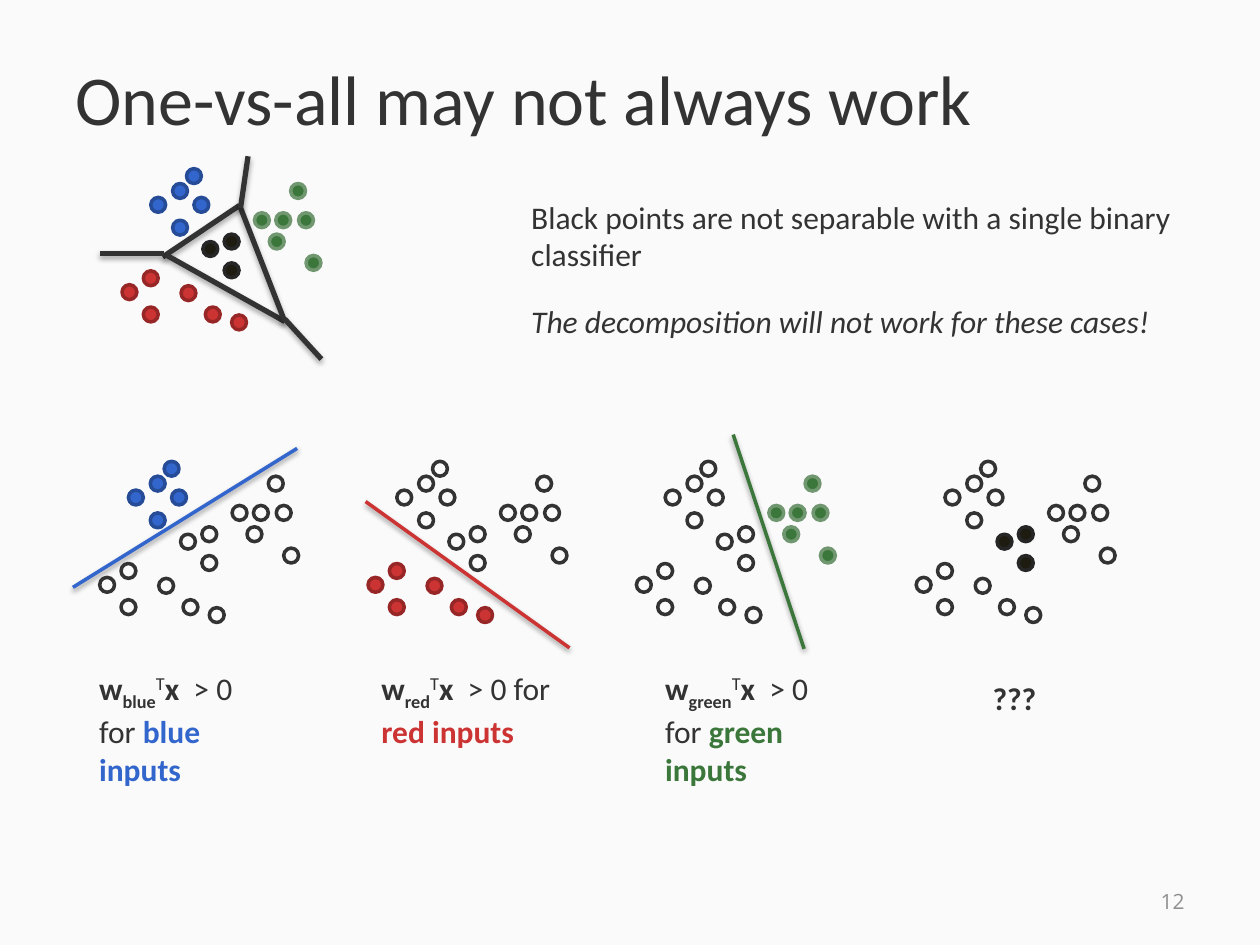
from typing import NamedTuple, Optional

from lxml import etree
from pptx import Presentation
from pptx import util as u
from pptx.dml.color import RGBColor
from pptx.enum import shapes as kinds, text as txt
from pptx.oxml import ns

INK = RGBColor(0x33, 0x33, 0x33)
PAPER = RGBColor(0xFA, 0xFA, 0xFA)
GRAY = RGBColor(0x90, 0x90, 0x90)
BLUE = RGBColor(0x33, 0x66, 0xCC)
NAVY = RGBColor(0x26, 0x4B, 0x97)
RED = RGBColor(0xCC, 0x33, 0x33)
WINE = RGBColor(0x97, 0x26, 0x26)
GREEN = RGBColor(0x3B, 0x77, 0x3B)
SAGE = RGBColor(0x71, 0x97, 0x71)
BLACK = RGBColor(0x1E, 0x1C, 0x11)
COAL = RGBColor(0x26, 0x26, 0x26)

DOT = 0.3
FONT = "Calibri"


class Look(NamedTuple):
    fill: RGBColor
    edge: RGBColor


class Line(NamedTuple):
    x1: float
    y1: float
    x2: float
    y2: float
    color: RGBColor = INK
    width: float = 3
    alpha: int = 35
    drop: int = 23000


class Panel(NamedTuple):
    x: float
    name: str
    note: float
    line: Optional[Line] = None


class Piece(NamedTuple):
    text: str
    bold: bool = False
    base: int = 0
    color: RGBColor = INK


PLAIN = Look(PAPER, INK)
LOOKS = {
    "blue": Look(BLUE, NAVY),
    "black": Look(BLACK, COAL),
    "green": Look(GREEN, SAGE),
    "red": Look(RED, WINE),
}
DOTS = {
    "blue": [(1.02, 0.3), (1.3, 0), (0.58, 0.58), (1.45, 0.58), (1.02, 1.04)],
    "black": [(1.63, 1.47), (2.06, 1.32), (2.06, 1.9)],
    "green": [(2.97, 1.32), (3.71, 1.75), (3.4, 0.3), (2.67, 0.89),
              (3.56, 0.89), (3.1, 0.89)],
    "red": [(2.21, 2.95), (0.43, 2.06), (1.19, 2.36), (0, 2.34),
            (1.68, 2.79), (0.43, 2.79)],
}
BORDERS = [
    Line(3.28, 5.18, 4.83, 4.14),
    Line(3.33, 5.13, 5.74, 6.48),
    Line(4.83, 4.14, 5.74, 6.48),
    Line(5.74, 6.43, 6.48, 7.24),
    Line(4.85, 4.19, 5, 3.15),
    Line(2.01, 5.11, 3.3, 5.11),
]
PANELS = [
    Panel(2.01, "blue", 1.75, Line(1.47, 11.84, 5.99, 9.04, BLUE, 2, 38, 20000)),
    Panel(7.42, "red", 7.44, Line(7.37, 10.11, 11.48, 13.06, RED, 2, 38, 20000)),
    Panel(12.83, "green", 13.16, Line(14.78, 8.76, 16.21, 13.08, GREEN, 2, 38, 20000)),
    Panel(18.47, "black", 19.76),
]


def draw_line(parent, line: Line) -> None:
    link = parent.add_connector(
        kinds.MSO_CONNECTOR.STRAIGHT,
        *(u.Cm(v) for v in (line.x1, line.y1, line.x2, line.y2)))
    link.line.color.rgb = line.color
    link.line.width = u.Pt(line.width)
    fx = etree.SubElement(link._element.spPr, ns.qn("a:effectLst"))
    shade = etree.SubElement(fx, ns.qn("a:outerShdw"), blurRad="40000",
                             dist=str(line.drop), dir="5400000", rotWithShape="0")
    tint = etree.SubElement(shade, ns.qn("a:srgbClr"), val="000000")
    etree.SubElement(tint, ns.qn("a:alpha"), val=str(line.alpha * 1000))


def draw_dots(parent, x: float, y: float, shown: list[str]) -> None:
    for name, spots in DOTS.items():
        look = LOOKS[name] if name in shown else PLAIN
        for dx, dy in spots:
            dot = parent.add_shape(kinds.MSO_SHAPE.OVAL, u.Cm(x + dx), u.Cm(y + dy),
                                   u.Cm(DOT), u.Cm(DOT))
            dot.shadow.inherit = False
            dot.fill.solid()
            dot.fill.fore_color.rgb = look.fill
            dot.line.color.rgb = look.edge
            dot.line.width = u.Pt(2)


def style(font, size: float, color: RGBColor = INK, face: str = FONT) -> None:
    font.name = face
    font.size = u.Pt(size)
    font.color.rgb = color


def add_box(parent, x: float, y: float, w: float, h: float, wrap: bool = True):
    frame = parent.add_textbox(u.Cm(x), u.Cm(y), u.Cm(w), u.Cm(h)).text_frame
    frame.word_wrap = wrap
    frame.auto_size = txt.MSO_AUTO_SIZE.SHAPE_TO_FIT_TEXT
    return frame


def write(frame, pieces: list[Piece]) -> None:
    for piece in pieces:
        run = frame.paragraphs[0].add_run()
        run.text = piece.text
        style(run.font, 18, piece.color)
        run.font.bold = piece.bold
        if piece.base:
            run.font._element.set("baseline", str(piece.base * 1000))


def draw_panel(slide, panel: Panel) -> None:
    group = slide.shapes.add_group_shape().shapes
    if panel.line:
        draw_line(group, panel.line)
        frame = add_box(group, panel.note, 13.36, 3.96, 2.57)
        write(frame, [
            Piece("w", True), Piece(panel.name, True, -25), Piece("T", False, 30),
            Piece("x ", True), Piece(" > 0 for "),
            Piece(f"{panel.name} inputs", True, 0, LOOKS[panel.name].fill)])
    else:
        write(add_box(group, panel.note, 13.56, 1.4, 1.02), [Piece("???", True)])
    draw_dots(group, panel.x, 9.3, [panel.name])


def main() -> None:
    deck = Presentation()
    deck.slide_width, deck.slide_height = u.Cm(25.4), u.Cm(19.05)
    slide = deck.slides.add_slide(deck.slide_layouts[5])
    slide.background.fill.solid()
    slide.background.fill.fore_color.rgb = PAPER

    title = slide.shapes.title
    title.left, title.top = u.Cm(1.27), u.Cm(0.38)
    title.width, title.height = u.Cm(22.86), u.Cm(3.18)
    title.text_frame.text = "One-vs-all may not always work"
    title.text_frame.vertical_anchor = txt.MSO_ANCHOR.MIDDLE
    head = title.text_frame.paragraphs[0]
    head.alignment = txt.PP_ALIGN.LEFT
    style(head.runs[0].font, 40)

    claim = add_box(slide.shapes, 10.46, 3.86, 14.02, 1.8)
    write(claim, [Piece("Black points are not separable with a single binary classifier")])
    moral = add_box(slide.shapes, 10.46, 5.97, 13.28, 1.02, False)
    write(moral, [Piece("The decomposition will not work for these cases!")])
    moral.paragraphs[0].runs[0].font.italic = True

    web = slide.shapes.add_group_shape().shapes
    for line in BORDERS:
        draw_line(web, line)
    draw_dots(slide.shapes.add_group_shape().shapes, 2.46, 3.4, list(LOOKS))
    for panel in PANELS:
        draw_panel(slide, panel)

    page = add_box(slide.shapes, 18.21, 17.65, 5.92, 1.02)
    page.auto_size = txt.MSO_AUTO_SIZE.NONE
    page.vertical_anchor = txt.MSO_ANCHOR.MIDDLE
    page.text = "12"
    page.paragraphs[0].alignment = txt.PP_ALIGN.RIGHT
    style(page.paragraphs[0].runs[0].font, 12, GRAY, "Open Sans")
    deck.save("out.pptx")


if __name__ == "__main__":
    main()
